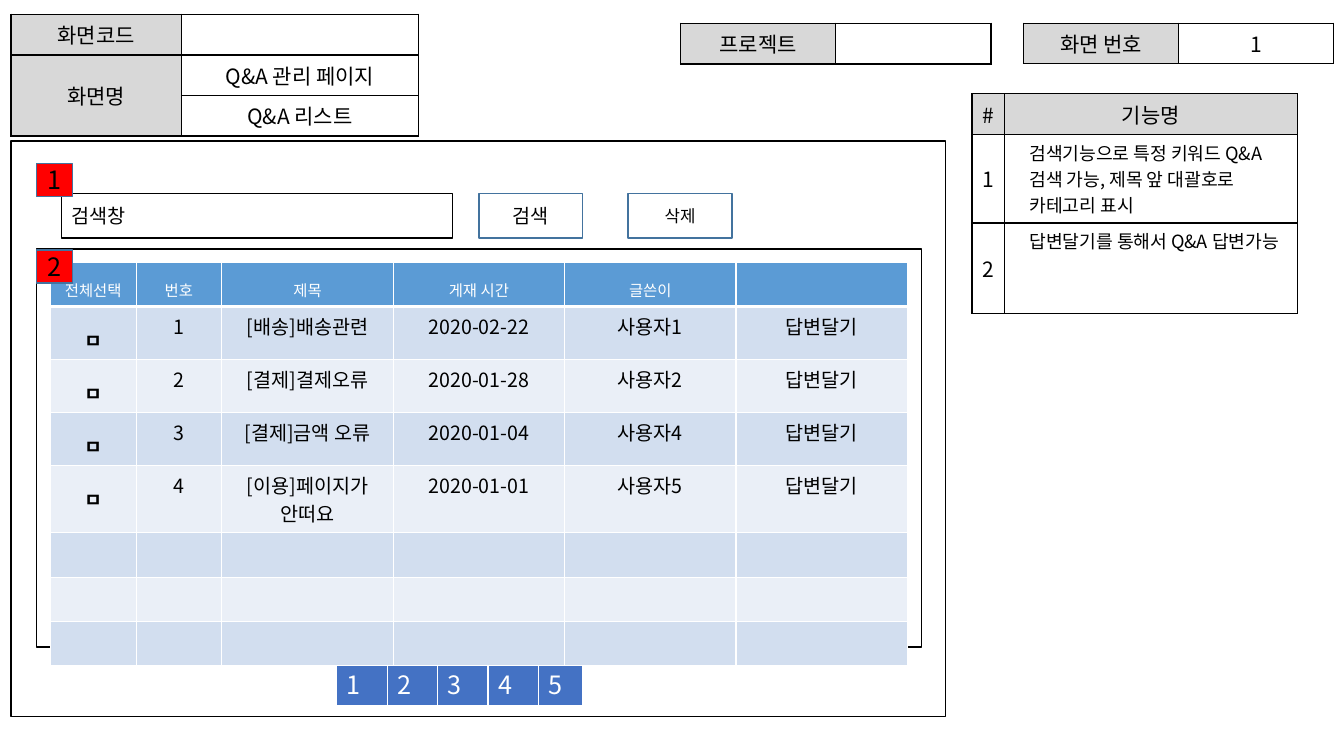
"""Build the Q&A management screen specification slide."""
from dataclasses import dataclass, replace

import lxml.etree
import pptx
import pptx.dml.color
import pptx.enum.shapes
import pptx.enum.text
import pptx.oxml.ns
import pptx.util

PX = 9144
FONT = "Noto Sans CJK KR"
COLORS = {
    "black": "000000", "white": "FFFFFF", "gray": "D8D8D8", "outline": "43739E",
    "red": "FF0000", "header": "5B9BD5", "odd": "D2DEEF", "even": "EAEFF7",
    "page": "4472C4",
}
LEFT = pptx.enum.text.PP_ALIGN.LEFT
CENTER = pptx.enum.text.PP_ALIGN.CENTER
TOP = pptx.enum.text.MSO_ANCHOR.TOP
MIDDLE = pptx.enum.text.MSO_ANCHOR.MIDDLE


@dataclass(frozen=True)
class CellStyle:
    fill: str
    size: int = 15
    color: str = "black"
    bold: bool = False
    align: pptx.enum.text.PP_ALIGN = CENTER
    anchor: pptx.enum.text.MSO_ANCHOR = MIDDLE
    line_spacing: float = 1.0
    indent: int = 0
    border: str = "black"
    bottom_width: int = 1


@dataclass(frozen=True)
class Grid:
    left: int
    top: int
    columns: list[int]
    rows: list[int]
    cells: list[list[tuple[str, CellStyle]]]


@dataclass(frozen=True)
class Box:
    left: int
    top: int
    width: int
    height: int
    line: str = "black"
    fill: str | None = None
    text: str = ""
    size: int = 14
    align: pptx.enum.text.PP_ALIGN = CENTER


LABEL = CellStyle("gray")
VALUE = CellStyle("white")
DETAIL = CellStyle("white", size=13, align=LEFT, anchor=TOP, indent=15)
PAGE = CellStyle("page", size=18, color="white", align=LEFT, anchor=TOP,
                 border="white", bottom_width=3)
HEADING = CellStyle("header", size=11, color="white", anchor=TOP,
                    line_spacing=1.5, border="white", bottom_width=3)
ENTRY = CellStyle("odd", size=14, anchor=TOP, border="white")

HEADINGS = ["전체선택", "번호", "제목", "게재 시간", "글쓴이", ""]
POSTS = [
    ("[배송]배송관련", "2020-02-22", "사용자1"),
    ("[결제]결제오류", "2020-01-28", "사용자2"),
    ("[결제]금액 오류", "2020-01-04", "사용자4"),
    ("[이용]페이지가 안떠요", "2020-01-01", "사용자5"),
]
EMPTY_ROWS = 3


def rgb(name: str) -> pptx.dml.color.RGBColor:
    return pptx.dml.color.RGBColor.from_string(COLORS[name])


def write_text(frame, text: str, *, size: int, color: str = "black",
               bold: bool = False, align=CENTER, line_spacing: float = 1.0,
               indent: int = 0) -> None:
    paragraph = frame.paragraphs[0]
    paragraph.alignment = align
    if line_spacing != 1.0:
        paragraph.line_spacing = line_spacing
    if indent:
        paragraph._p.get_or_add_pPr().set("marL", str(indent * PX))
    run = paragraph.add_run()
    run.text = text
    run.font.size = pptx.util.Pt(size)
    run.font.bold = bold
    run.font.color.rgb = rgb(color)
    run.font.name = FONT
    east_asian = lxml.etree.SubElement(
        run._r.get_or_add_rPr(), pptx.oxml.ns.qn("a:ea"))
    east_asian.set("typeface", FONT)


def add_border(cell, side: str, color: str, width: int) -> None:
    qn = pptx.oxml.ns.qn
    line = lxml.etree.SubElement(cell._tc.get_or_add_tcPr(), qn(f"a:ln{side}"))
    line.set("w", str(pptx.util.Pt(width)))
    fill = lxml.etree.SubElement(line, qn("a:solidFill"))
    lxml.etree.SubElement(fill, qn("a:srgbClr")).set("val", COLORS[color])


def fill_cell(cell, text: str, style: CellStyle) -> None:
    for side in "LRTB":
        width = style.bottom_width if side == "B" else 1
        add_border(cell, side, style.border, width)
    cell.fill.solid()
    cell.fill.fore_color.rgb = rgb(style.fill)
    cell.vertical_anchor = style.anchor
    if text:
        write_text(cell.text_frame, text, size=style.size, color=style.color,
                   bold=style.bold, align=style.align,
                   line_spacing=style.line_spacing, indent=style.indent)


def add_grid(slide, grid: Grid):
    table = slide.shapes.add_table(
        len(grid.rows), len(grid.columns), grid.left * PX, grid.top * PX,
        sum(grid.columns) * PX, sum(grid.rows) * PX).table
    table.first_row = False
    table.horz_banding = False
    for column, width in zip(table.columns, grid.columns):
        column.width = width * PX
    for row, height in zip(table.rows, grid.rows):
        row.height = height * PX
    for row, contents in zip(table.rows, grid.cells):
        for cell, (text, style) in zip(row.cells, contents):
            fill_cell(cell, text, style)
    return table


def add_box(slide, box: Box) -> None:
    shape = slide.shapes.add_shape(
        pptx.enum.shapes.MSO_SHAPE.RECTANGLE,
        box.left * PX, box.top * PX, box.width * PX, box.height * PX)
    shape.shadow.inherit = False
    shape.line.color.rgb = rgb(box.line)
    shape.line.width = pptx.util.Pt(1)
    if box.fill:
        shape.fill.solid()
        shape.fill.fore_color.rgb = rgb(box.fill)
    else:
        shape.fill.background()
    if box.text:
        shape.text_frame.vertical_anchor = MIDDLE
        write_text(shape.text_frame, box.text, size=box.size, align=box.align)


def post_rows() -> list[list[tuple[str, CellStyle]]]:
    rows = [[(heading, HEADING) for heading in HEADINGS]]
    for index in range(len(POSTS) + EMPTY_ROWS):
        style = replace(ENTRY, fill="even" if index % 2 else "odd")
        if index < len(POSTS):
            checkbox = replace(style, bold=True, line_spacing=1.5)
            texts = [str(index + 1), *POSTS[index], "답변달기"]
            rows.append([("ㅁ", checkbox), *((text, style) for text in texts)])
        else:
            rows.append([("", style)] * len(HEADINGS))
    return rows


def main() -> None:
    presentation = pptx.Presentation()
    presentation.slide_width = 1333 * PX
    presentation.slide_height = 750 * PX
    slide = presentation.slides.add_slide(presentation.slide_layouts[6])

    screen = add_grid(slide, Grid(11, 14, [169, 235], [40] * 3, [
        [("화면코드", LABEL), ("", VALUE)],
        [("화면명", LABEL), ("Q&A 관리 페이지", VALUE)],
        [("", LABEL), ("Q&A 리스트", VALUE)]]))
    screen.cell(1, 0).merge(screen.cell(2, 0))
    for left, label, value in [(1015, "화면 번호", "1"), (675, "프로젝트", "")]:
        add_grid(slide, Grid(left, 23, [154] * 2, [40],
                             [[(label, LABEL), (value, VALUE)]]))
    add_grid(slide, Grid(964, 93, [32, 291], [40, 88, 90], [
        [("#", LABEL), ("기능명", LABEL)],
        [("1", VALUE),
         ("검색기능으로 특정 키워드 Q&A검색 가능, 제목 앞 대괄호로 카테고리 표시", DETAIL)],
        [("2", VALUE), ("답변달기를 통해서 Q&A 답변가능", DETAIL)]]))

    for box in [
        Box(11, 140, 927, 571),
        Box(623, 192, 103, 44, "outline", text="삭제", size=12),
        Box(61, 192, 388, 44, text="검색창", align=LEFT),
        Box(475, 192, 103, 44, "outline", text="검색"),
        Box(36, 247, 878, 395),
    ]:
        add_box(slide, box)

    add_grid(slide, Grid(334, 655, [50] * 4 + [44], [46],
                         [[(str(page), PAGE) for page in range(1, 6)]]))
    add_grid(slide, Grid(50, 260, [85] * 2 + [170] * 4,
                         [44] + [52] * 3 + [67] + [44] * EMPTY_ROWS, post_rows()))
    for number, top in [("1", 162), ("2", 248)]:
        add_box(slide, Box(36, top, 36, 33, "outline", "red", number, 18))

    presentation.save("out.pptx")


if __name__ == "__main__":
    main()
